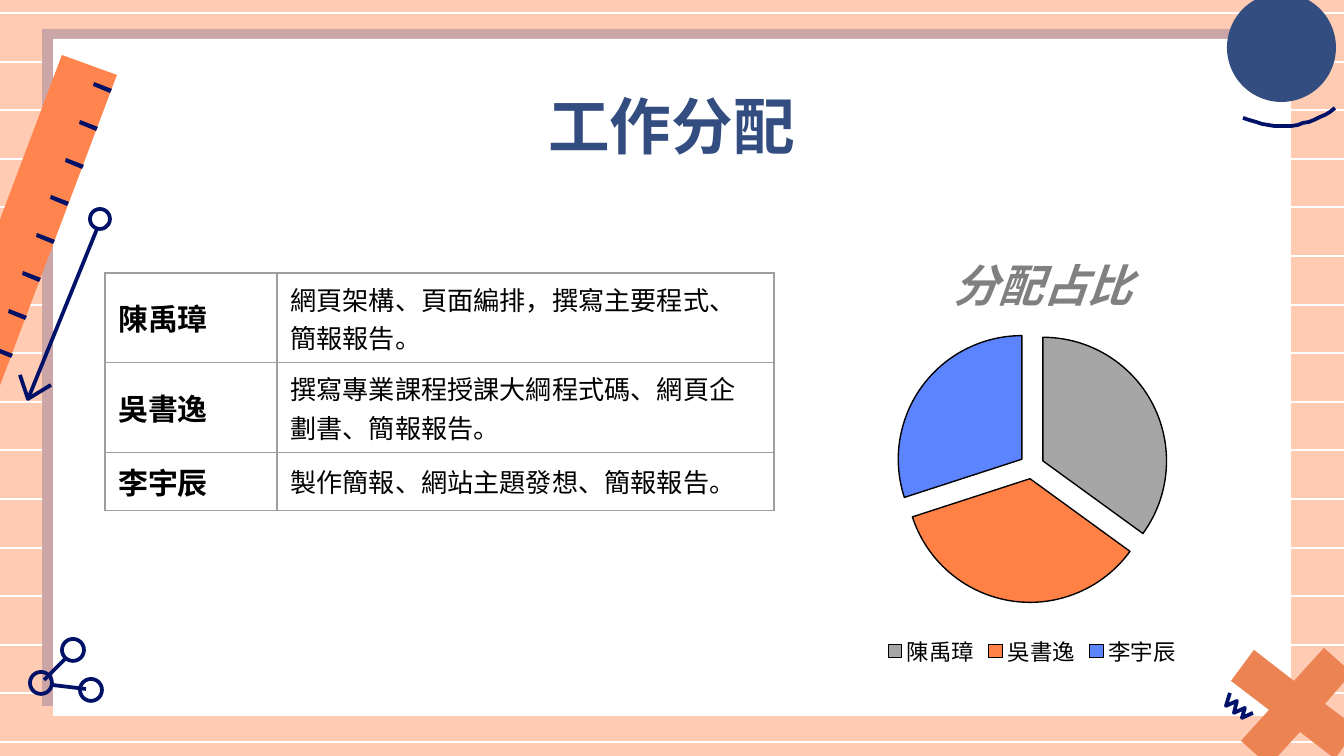
from dataclasses import dataclass
from typing import NamedTuple

from pptx import Presentation
from pptx import util as u
from pptx.chart import data
from pptx.dml.color import RGBColor
from pptx.enum import chart as charts, shapes, text
from pptx.oxml import parse_xml
from pptx.oxml.ns import nsdecls
from pptx.oxml.xmlchemy import OxmlElement

EMU_PER_PX = 914400 / 134.4


@dataclass(frozen=True)
class Theme:
    peach: str = "FFCBB3"
    white: str = "FFFFFF"
    black: str = "000000"
    mauve: str = "CCA5A6"
    rust: str = "EC8353"
    orange: str = "FF844E"
    blue: str = "334D80"
    navy: str = "001168"
    ink: str = "001966"
    grid: str = "9E9E9E"
    gray: str = "808080"
    slices: tuple = ("A6A6A6", "FF8146", "5C84FF")
    font: str = "Noto Sans CJK SC"
    title: int = 33
    chart_title: int = 24
    name: int = 16
    body: int = 14
    legend: int = 12
    hairline: float = 0.75
    stroke: float = 2


class Member(NamedTuple):
    name: str
    task: str
    share: int
    row_height: int


class Ring(NamedTuple):
    x: int
    y: int
    radius: int


THEME = Theme()
MEMBERS = [
    Member("陳禹璋", "網頁架構、頁面編排，撰寫主要程式、簡報報告。", 35, 58),
    Member("吳書逸", "撰寫專業課程授課大綱程式碼、網頁企劃書、簡報報告。", 35, 62),
    Member("李宇辰", "製作簡報、網站主題發想、簡報報告。", 30, 58),
]
RINGS = [Ring(100, 219, 10), Ring(73, 650, 11), Ring(91, 690, 11), Ring(41, 683, 11)]
RODS = [(97, 229, 28, 399), (52, 685, 86, 689), (44, 680, 66, 658)]
CROSS = [(1357, 728), (1325, 704), (1352, 673), (1324, 648), (1294, 681), (1254, 650),
         (1231, 681), (1269, 710), (1241, 741), (1269, 766), (1300, 732), (1335, 759)]
RULER = [(62, 55), (117, 75), (-51, 521), (-106, 501)]
TICK = [(94, 82), (112, 89), (110, 93), (93, 86)]
ARROWHEAD = [(20, 375), (28, 399), (51, 385)]
ZIGZAG = [(1230, 693), (1226, 706), (1237, 701), (1234, 713),
          (1245, 708), (1242, 718), (1253, 713)]


def px(value: float) -> int:
    return round(value * EMU_PER_PX)


def rgb(color: str) -> RGBColor:
    return RGBColor.from_string(color)


def style_font(font, *, size: int, color: str, bold=False, italic=False) -> None:
    font.size, font.bold, font.italic = u.Pt(size), bold, italic
    font.name = THEME.font
    font.color.rgb = rgb(color)
    east_asian = OxmlElement("a:ea")
    east_asian.set("typeface", THEME.font)
    font._rPr.append(east_asian)


def write(frame, words: str, *, align=None, spacing=None, **style):
    para = frame.paragraphs[0]
    para.alignment, para.line_spacing = align, spacing
    span = para.add_run()
    span.text = words
    style_font(span.font, **style)


def paint(shape, fill=None, line=None, width=THEME.stroke) -> None:
    shape.shadow.inherit = False
    if fill:
        shape.fill.solid()
        shape.fill.fore_color.rgb = rgb(fill)
    else:
        shape.fill.background()
    if line:
        shape.line.color.rgb = rgb(line)
        shape.line.width = u.Pt(width)
    else:
        shape.line.fill.background()


def add_preset(page, kind, left: int, top: int, width: int, height: int, **look) -> None:
    paint(page.shapes.add_shape(kind, px(left), px(top), px(width), px(height)), **look)


def add_outline(page, points: list, close=True, **look) -> None:
    builder = page.shapes.build_freeform(*points[0], scale=EMU_PER_PX)
    builder.add_line_segments(points[1:], close=close)
    paint(builder.convert_to_shape(), **look)


def add_line(page, x1: int, y1: int, x2: int, y2: int, color: str, width: float) -> None:
    line = page.shapes.add_connector(
        shapes.MSO_CONNECTOR.STRAIGHT, px(x1), px(y1), px(x2), px(y2))
    line.line.color.rgb = rgb(color)
    line.line.width = u.Pt(width)
    line.element.spPr.append(OxmlElement("a:effectLst"))


def add_backdrop(page) -> None:
    page.background.fill.solid()
    page.background.fill.fore_color.rgb = rgb(THEME.peach)
    for i in range(16):
        y = round(13 + 48.6 * i)
        add_line(page, 0, y, 1344, y, THEME.white, THEME.hairline)
    for left, top, color in ((42, 29, THEME.mauve), (53, 39, THEME.white)):
        add_preset(page, shapes.MSO_SHAPE.RECTANGLE, left, top, 1238, 677, fill=color)


def add_ornaments(page) -> None:
    add_outline(page, CROSS, fill=THEME.rust)
    add_preset(page, shapes.MSO_SHAPE.OVAL, 1227, -7, 109, 109, fill=THEME.blue)
    # Ruler with evenly spaced ticks
    add_outline(page, RULER, fill=THEME.orange)
    for i in range(8):
        tick = [(round(x - 14.2 * i), round(y + 37.8 * i)) for x, y in TICK]
        add_outline(page, tick, fill=THEME.navy)
    # Arrow and molecule
    for ring in RINGS:
        add_preset(page, shapes.MSO_SHAPE.OVAL, ring.x - ring.radius, ring.y - ring.radius,
                   2 * ring.radius, 2 * ring.radius, line=THEME.navy)
    for rod in RODS:
        add_line(page, *rod, THEME.navy, THEME.stroke)
    # Curve under the circle, as a quadratic through three control points
    steps = [i / 16 for i in range(17)]
    curve = [tuple(round((1 - t) ** 2 * a + 2 * t * (1 - t) * b + t * t * c)
                   for a, b, c in ((1243, 1295, 1335), (118, 138, 108))) for t in steps]
    for stroke in (ARROWHEAD, curve, ZIGZAG):
        add_outline(page, stroke, close=False, line=THEME.navy)


def add_title(page) -> None:
    title = page.shapes.title
    title.element.getparent().append(title.element)  # bring to front
    title.left, title.top, title.width, title.height = map(px, (155, 83, 1033, 85))
    frame = title.text_frame
    frame.margin_left = frame.margin_right = frame.margin_top = frame.margin_bottom = u.Inches(0.1)
    frame.vertical_anchor = text.MSO_ANCHOR.TOP
    frame.auto_size = text.MSO_AUTO_SIZE.NONE
    write(frame, "工作分配", align=text.PP_ALIGN.CENTER, spacing=0.9,
          size=THEME.title, color=THEME.blue, bold=True)


def border_cell(cell) -> None:
    properties = cell._tc.get_or_add_tcPr()
    for side in "LRTB":
        properties.append(parse_xml(
            f'<a:ln{side} {nsdecls("a")} w="{u.Pt(THEME.hairline)}"><a:solidFill>'
            f'<a:srgbClr val="{THEME.grid}"/></a:solidFill></a:ln{side}>'))


def add_duties(page) -> None:
    height = sum(member.row_height for member in MEMBERS)
    table = page.shapes.add_table(
        len(MEMBERS), 2, px(105), px(273), px(669), px(height)).table
    table.first_row = table.horz_banding = False
    for column, width in zip(table.columns, (172, 497)):
        column.width = px(width)
    for i, member in enumerate(MEMBERS):
        table.rows[i].height = px(member.row_height)
        for j, (words, size) in enumerate(((member.name, THEME.name), (member.task, THEME.body))):
            cell = table.cell(i, j)
            border_cell(cell)
            cell.fill.background()
            cell.vertical_anchor = text.MSO_ANCHOR.MIDDLE
            write(cell.text_frame, words, size=size, color=THEME.black, bold=j == 0)


def set_layout(parent, index: int, target="", **place: float) -> None:
    for old in parent.xpath("c:layout"):
        parent.remove(old)
    modes = "".join(f'<c:{axis}Mode val="edge"/>' for axis in "xy")
    values = "".join(f'<c:{key} val="{value}"/>' for key, value in place.items())
    parent.insert(index, parse_xml(
        f'<c:layout {nsdecls("c")}><c:manualLayout>{target}{modes}{values}'
        f'</c:manualLayout></c:layout>'))


def add_shares(page) -> None:
    shares = data.CategoryChartData()
    shares.categories = [member.name for member in MEMBERS]
    shares.add_series("Series 1", [member.share for member in MEMBERS])
    chart = page.shapes.add_chart(charts.XL_CHART_TYPE.PIE, px(672), px(204),
                                  px(720), px(469), shares).chart
    chart.font.size, chart.font.name = u.Pt(10), "Arial"
    chart.font.color.rgb = rgb(THEME.ink)
    # Title and legend
    chart.has_title = True
    write(chart.chart_title.text_frame, "分配占比", size=THEME.chart_title,
          color=THEME.gray, bold=True, italic=True)
    chart.has_legend = True
    chart.legend.position = charts.XL_LEGEND_POSITION.BOTTOM
    chart.legend.include_in_layout = False
    style_font(chart.legend.font, size=THEME.legend, color=THEME.black)
    set_layout(chart.chart_title.element, 1, x=0.38, y=0.07)
    set_layout(chart.element.xpath("c:chart/c:plotArea")[0], 0,
               '<c:layoutTarget val="inner"/>', x=0.31, y=0.27, w=0.38, h=0.58)
    # Exploded slices
    plot = chart.plots[0]
    plot.vary_by_categories = True
    series = plot.series[0]
    series.format.line.color.rgb = rgb(THEME.black)
    explosion = OxmlElement("c:explosion")
    explosion.set("val", "10")
    series.format.line.width = u.Pt(THEME.hairline)
    series._element.spPr.addnext(explosion)
    for i, color in enumerate(THEME.slices):
        look = series.points[i].format
        look.fill.solid()
        look.fill.fore_color.rgb = rgb(color)
        look.line.color.rgb = rgb(THEME.black)
        look.line.width = u.Pt(THEME.hairline)


def main() -> None:
    deck = Presentation()
    deck.slide_width, deck.slide_height = px(1344), px(756)
    page = deck.slides.add_slide(deck.slide_layouts[5])
    add_backdrop(page)
    add_ornaments(page)
    add_title(page)
    add_duties(page)
    add_shares(page)
    deck.save("out.pptx")


if __name__ == "__main__":
    main()
